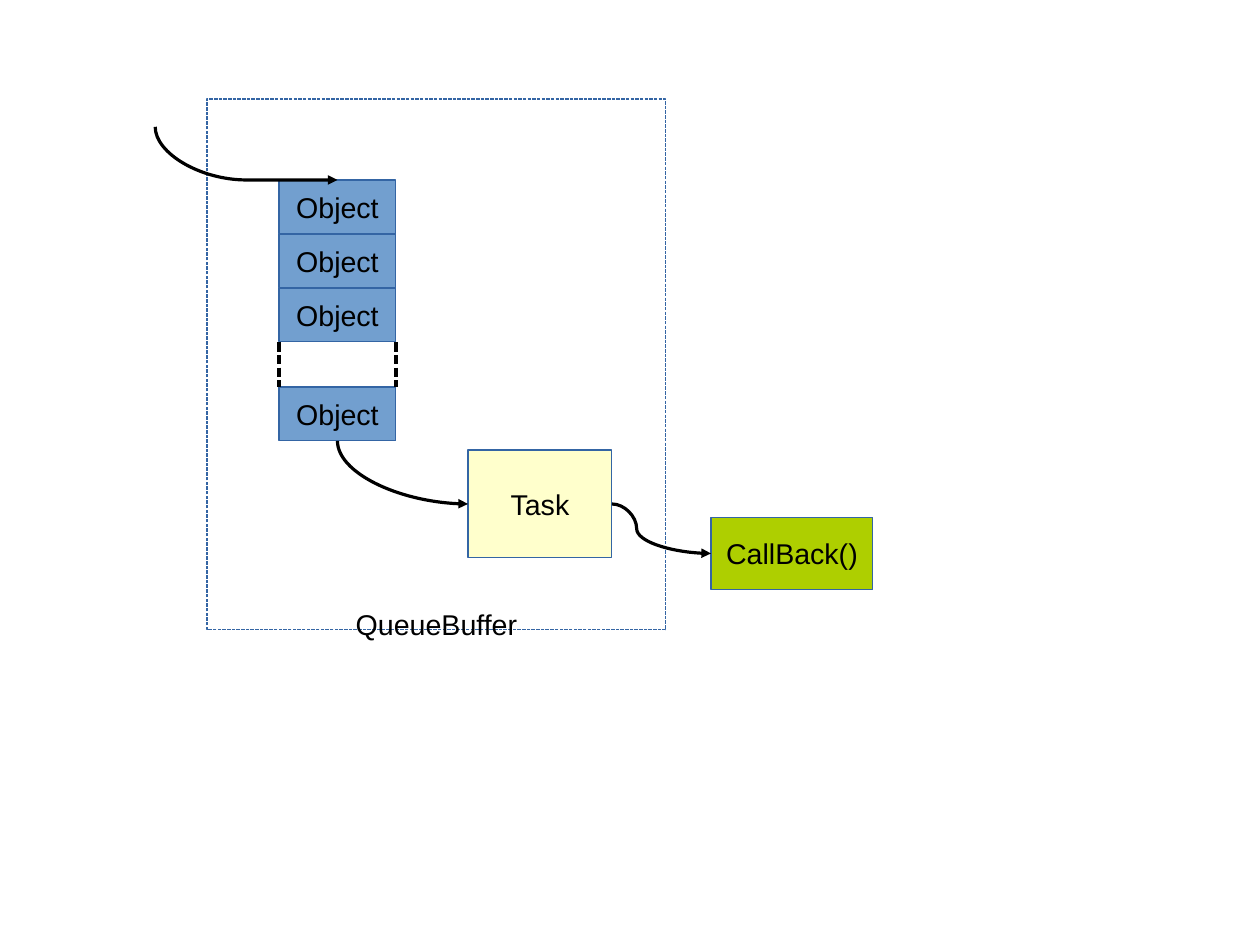
from lxml import etree
from pptx import Presentation
from pptx.dml.color import RGBColor
from pptx.enum.dml import MSO_LINE
from pptx.enum.shapes import MSO_CONNECTOR as LINK, MSO_SHAPE
from pptx.enum.text import MSO_ANCHOR, PP_ALIGN
from pptx.oxml.ns import qn
from pptx.util import Cm, Pt

deck = Presentation()
deck.slide_width, deck.slide_height = Cm(28), Cm(21)
page = deck.slides.add_slide(deck.slide_layouts[6])


def rgb(value):
    return RGBColor.from_string(value)


def write(box, text):
    frame = box.text_frame
    frame.word_wrap = False
    frame.vertical_anchor = MSO_ANCHOR.MIDDLE
    para = frame.paragraphs[0]
    para.text = text
    para.alignment = PP_ALIGN.CENTER
    para.font.name, para.font.size = "Arial", Pt(18)
    para.font.color.rgb = rgb("000000")


# Boxes: queued objects, task, callback and the dashed queue frame
queue_left, queue_width, object_height = 6.2, 2.6, 1.2
object_tops = [4 + row * object_height for row in range(3)] + [8.6]
boxes = [("Object", queue_left, top, queue_width, object_height, "729FCF")
         for top in object_tops]
boxes += [
    ("Task", 10.4, 10, 3.2, 2.4, "FFFFCC"),
    ("CallBack()", 15.8, 11.5, 3.6, 1.6, "AECF00"),
    ("", 4.6, 2.2, 10.2, 11.8, None),
]
for text, left, top, width, height, fill in boxes:
    box = page.shapes.add_shape(MSO_SHAPE.RECTANGLE, Cm(left), Cm(top), Cm(width), Cm(height))
    box.shadow.inherit = False
    box.line.color.rgb = rgb("3465A4")
    box.line.width = Pt(0)
    if fill:
        box.fill.solid()
        box.fill.fore_color.rgb = rgb(fill)
        write(box, text)
    else:
        box.fill.background()
        box.line.dash_style = MSO_LINE.SQUARE_DOT

# Queue name on the lower edge of the frame
label = page.shapes.add_textbox(Cm(4.6), Cm(13.26), Cm(10.2), Cm(1.2))
write(label, "QueueBuffer")

# Dashed sides of the gap in the queue
links = []
for x in (queue_left, queue_left + queue_width):
    side = page.shapes.add_connector(LINK.STRAIGHT, Cm(x), Cm(7.6), Cm(x), Cm(8.6))
    side.line.dash_style = MSO_LINE.SQUARE_DOT
    links.append(side)

# Curved arrows: start, end, preset, bend position, leaves downwards
curves = [
    (3.45, 2.82, 7.5, 4, "curvedConnector3", 100000, True),
    (7.5, 9.8, 10.4, 11.2, "curvedConnector2", None, True),
    (13.6, 11.2, 15.8, 12.3, "curvedConnector3", 25000, False),
]
arrows = []
for x1, y1, x2, y2, preset, bend, downwards in curves:
    half_width, half_height = (x2 - x1) / 2, (y2 - y1) / 2
    if downwards:  # the unturned curve has its sides swapped
        half_width, half_height = half_height, half_width
    mid_x, mid_y = (x1 + x2) / 2, (y1 + y2) / 2
    arrow = page.shapes.add_connector(
        LINK.CURVE, Cm(mid_x - half_width), Cm(mid_y - half_height),
        Cm(mid_x + half_width), Cm(mid_y + half_height))
    properties = arrow._element.spPr
    if downwards:
        turn = properties.find(qn("a:xfrm"))
        turn.set("rot", "16200000")
        turn.set("flipH", "1")
    geometry = properties.find(qn("a:prstGeom"))
    geometry.set("prst", preset)
    if bend is not None:
        guide = etree.SubElement(geometry.find(qn("a:avLst")), qn("a:gd"))
        guide.set("name", "adj1")
        guide.set("fmla", f"val {bend}")
    arrows.append(arrow)

# Shared line look, with heads on the arrows
for link in links + arrows:
    link.line.color.rgb = rgb("000000")
    link.line.width = Pt(0)
    properties = link._element.spPr
    if link in arrows:
        head = etree.SubElement(properties.find(qn("a:ln")), qn("a:tailEnd"))
        head.set("type", "triangle")
    etree.SubElement(properties, qn("a:effectLst"))

deck.save("out.pptx")
